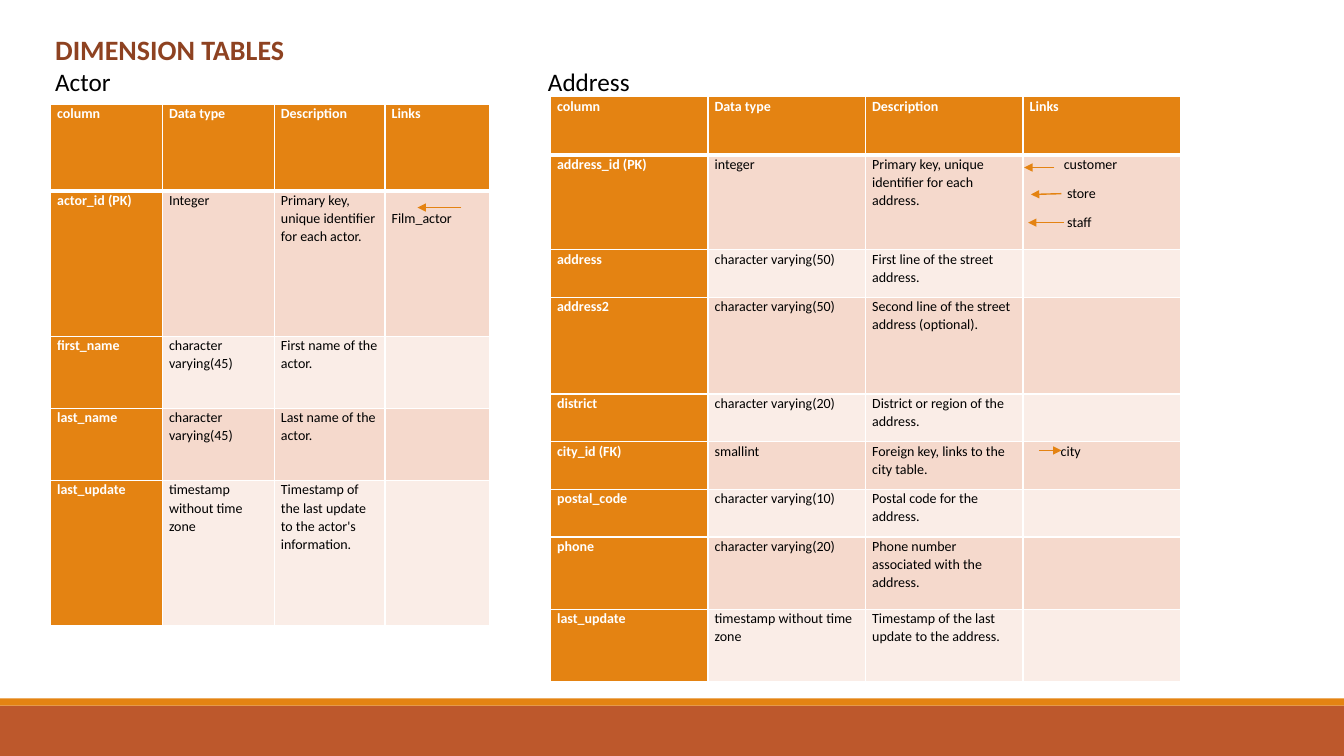
from lxml import etree
from pptx import Presentation
from pptx.dml.color import RGBColor
from pptx.enum.shapes import MSO_CONNECTOR, MSO_SHAPE
from pptx.oxml.ns import qn
from pptx.util import Cm, Pt

RECTANGLE = MSO_SHAPE.RECTANGLE
STRAIGHT = MSO_CONNECTOR.STRAIGHT

ORANGE = RGBColor(0xE4, 0x83, 0x12)
RUST = RGBColor(0xBD, 0x58, 0x2C)
BROWN = RGBColor(0x8E, 0x42, 0x21)
PINK = RGBColor(0xF5, 0xD9, 0xCC)
PALE_PINK = RGBColor(0xFA, 0xED, 0xE7)
WHITE = RGBColor(0xFF, 0xFF, 0xFF)
BLACK = RGBColor(0x00, 0x00, 0x00)

SLIDE_WIDTH, SLIDE_HEIGHT = 33.87, 19.05
HEADER = ("column", "Data type", "Description", "Links")

# Each link is (text, left indent in cm).
ACTOR_ROWS = [
    ("actor_id (PK)", "Integer", "Primary key, unique identifier for each actor.",
     [("Film_actor", 0)]),
    ("first_name", "character varying(45)", "First name of the actor.", []),
    ("last_name", "character varying(45)", "Last name of the actor.", []),
    ("last_update", "timestamp without time zone",
     "Timestamp of the last update to the actor's information.", []),
]
ADDRESS_ROWS = [
    ("address_id (PK)", "integer", "Primary key, unique identifier for each address.",
     [("customer", 0.86), ("store", 0.94), ("staff", 0.94)]),
    ("address", "character varying(50)", "First line of the street address.", []),
    ("address2", "character varying(50)",
     "Second line of the street address (optional).", []),
    ("district", "character varying(20)", "District or region of the address.", []),
    ("city_id (FK)", "smallint", "Foreign key, links to the city table.",
     [("city", 0.78)]),
    ("postal_code", "character varying(10)", "Postal code for the address.", []),
    ("phone", "character varying(20)", "Phone number associated with the address.", []),
    ("last_update", "timestamp without time zone",
     "Timestamp of the last update to the address.", []),
]
LINK_ARROWS = [
    ((11.63, 5.23), (10.52, 5.23)),
    ((26.57, 4.22), (25.81, 4.22)),
    ((26.75, 4.88), (25.98, 4.9)),
    ((26.82, 5.61), (25.91, 5.61)),
    ((26.19, 11.35), (26.75, 11.35)),
]


def apply_format(target, formats):
    for name, value in formats.items():
        setattr(target, name, value)


class SchemaSlide:
    font_name = "Calibri"
    cell_margins = {"margin_left": Cm(0.17), "margin_right": Cm(0.17),
                    "margin_top": 0, "margin_bottom": 0}
    cell_spacing = {"line_spacing": 1.07, "space_after": Pt(8)}

    def __init__(self, slide):
        self.shapes = slide.shapes

    def add_text(self, paragraph, text, size, color, bold=False):
        run = paragraph.add_run()
        run.text = text
        apply_format(run.font, {"name": self.font_name, "size": Pt(size), "bold": bold})
        run.font.color.rgb = color

    def bar(self, top, height, color):
        """Draw a full-width footer bar."""
        bar = self.shapes.add_shape(RECTANGLE, 0, Cm(top), Cm(SLIDE_WIDTH), Cm(height))
        bar.shadow.inherit = False
        bar.fill.solid()
        bar.fill.fore_color.rgb = color
        bar.line.fill.background()

    def heading(self, title, table_names, second_name_at):
        """Add the title and, below it, both table names parted by a tab stop."""
        box = self.shapes.add_textbox(Cm(1.14), Cm(0.69), Cm(31.09), Cm(1.8))
        frame = box.text_frame
        frame.word_wrap = True
        self.add_text(frame.paragraphs[0], title, 20, BROWN, True)
        names = frame.add_paragraph()
        tabs = etree.SubElement(names._p.get_or_add_pPr(), qn("a:tabLst"))
        etree.SubElement(tabs, qn("a:tab"), pos=str(Cm(second_name_at)), algn="l")
        self.add_text(names, "\t".join(table_names), 18, BLACK)

    def borders(self, cell, bottom_width):
        properties = cell._tc.get_or_add_tcPr()
        for side, width in (("L", 1), ("R", 1), ("T", 1), ("B", bottom_width)):
            line = etree.SubElement(properties, qn(f"a:ln{side}"), w=str(Pt(width)))
            fill = etree.SubElement(line, qn("a:solidFill"))
            etree.SubElement(fill, qn("a:srgbClr"), val=str(WHITE))

    def cell(self, cell, entries, fill, color, bold, bottom_width):
        apply_format(cell, self.cell_margins)
        self.borders(cell, bottom_width)
        cell.fill.solid()
        cell.fill.fore_color.rgb = fill
        frame = cell.text_frame
        for index, (text, indent) in enumerate(entries):
            paragraph = frame.add_paragraph() if index else frame.paragraphs[0]
            paragraph._p.get_or_add_pPr().set("marL", str(Cm(indent)))
            apply_format(paragraph, self.cell_spacing)
            self.add_text(paragraph, text, 10, color, bold)

    def table(self, left, top, widths, heights, rows):
        """Draw a column listing with orange header row and first column."""
        frame = self.shapes.add_table(len(heights), len(widths), Cm(left), Cm(top),
                                      Cm(sum(widths)), Cm(sum(heights)))
        table = frame.table
        apply_format(table, {"first_row": False, "horz_banding": False})
        for column, width in zip(table.columns, widths):
            column.width = Cm(width)
        for row, height in zip(table.rows, heights):
            row.height = Cm(height)
        for r, values in enumerate([HEADER, *rows]):
            for c, value in enumerate(values):
                is_head = r == 0 or c == 0
                band = PINK if r % 2 else PALE_PINK
                entries = [(value, 0)] if isinstance(value, str) else value
                self.cell(table.cell(r, c), entries,
                          ORANGE if is_head else band,
                          WHITE if is_head else BLACK,
                          is_head, 1 if r else 3)
        return table

    def arrow(self, start, end):
        points = [Cm(value) for value in (*start, *end)]
        arrow = self.shapes.add_connector(STRAIGHT, *points)
        arrow.line.color.rgb = ORANGE
        arrow.line.width = Pt(1)
        outline = arrow._element.spPr.find(qn("a:ln"))
        etree.SubElement(outline, qn("a:tailEnd"), type="triangle")
        etree.SubElement(arrow._element.spPr, qn("a:effectLst"))


def main():
    presentation = Presentation()
    apply_format(presentation, {"slide_width": Cm(SLIDE_WIDTH),
                                "slide_height": Cm(SLIDE_HEIGHT)})
    schema = SchemaSlide(presentation.slides.add_slide(presentation.slide_layouts[6]))

    schema.bar(17.78, 1.27, RUST)
    schema.bar(17.6, 0.18, ORANGE)
    schema.heading("DIMENSION TABLES", ("Actor", "Address"), 12.42)
    actor = schema.table(1.27, 2.62, [2.82, 2.82, 2.79, 2.64],
                         [2.2, 3.65, 1.82, 1.82, 3.65], ACTOR_ROWS)
    actor.cell(1, 3).margin_top = Cm(0.46)  # leaves room for the arrow above the link
    schema.table(13.87, 2.44, [3.97] * 4,
                 [1.46, 2.39, 1.2, 2.44, 1.2, 1.2, 1.2, 1.82, 1.82], ADDRESS_ROWS)
    for start, end in LINK_ARROWS:
        schema.arrow(start, end)

    presentation.save("out.pptx")


if __name__ == "__main__":
    main()
